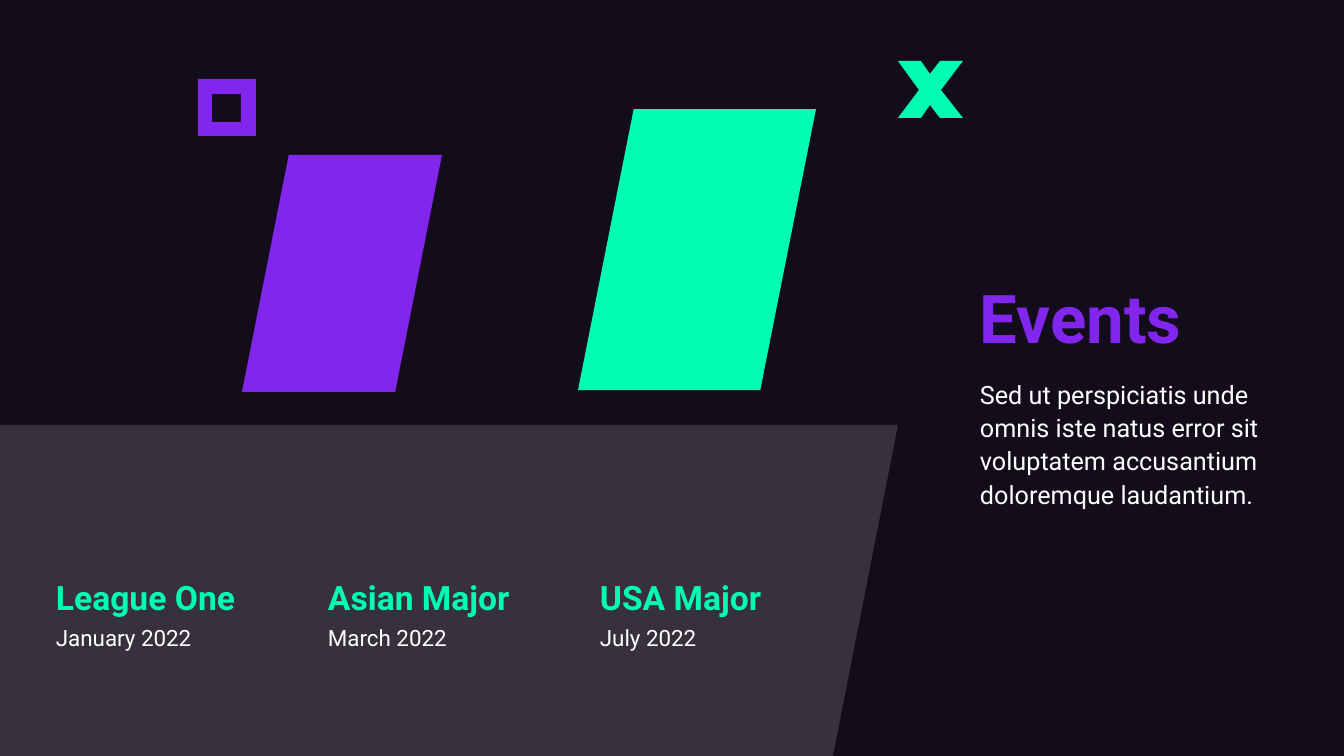
"""Builds the Events slide."""
from lxml import etree
from pptx import Presentation
from pptx import util as u
from pptx.dml.color import RGBColor
from pptx.enum import shapes, text
from pptx.oxml.ns import qn

PX = u.Inches(1) / 100.8
FONT = "Roboto"
HUES = {"night": "130D1B", "mint": "01FDB0", "violet": "8226EE", "white": "FFFFFF"}
EVENTS = [
    ("League One", "January 2022"),
    ("Asian Major", "March 2022"),
    ("USA Major", "July 2022"),
]
PANEL = [(0, 425), (898, 425), (833, 756), (0, 756)]
CROSS = [
    (898, 61), (921, 61), (930, 74), (940, 61), (963, 61), (941, 90),
    (963, 118), (940, 118), (930, 105), (921, 118), (898, 118), (919, 90),
]
OUTER = [(198, 79), (256, 79), (256, 136), (198, 136)]
INNER = [(212, 94), (212, 122), (241, 122), (241, 94)]


def emu(*vals):
    """Turn pixels into EMU."""
    return [u.Emu(round(val * PX)) for val in vals]


def hue(name):
    """Look up a colour."""
    return RGBColor.from_string(HUES[name])


def paint(shape, name):
    """Give a shape a flat fill with no line or shadow."""
    shape.shadow.inherit = False
    shape.fill.solid()
    shape.fill.fore_color.rgb = hue(name)
    shape.line.fill.background()


def slant(slide, box, name):
    """Add a leaning block."""
    shape = slide.shapes.add_shape(shapes.MSO_SHAPE.PARALLELOGRAM, *emu(*box))
    shape.adjustments[0] = 0.234
    paint(shape, name)


def outline(slide, name, *rings, alpha=None):
    """Add a freeform made of closed rings."""
    build = slide.shapes.build_freeform(*rings[0][0], scale=PX)
    build.add_line_segments(rings[0][1:])
    for ring in rings[1:]:
        build.move_to(*ring[0])
        build.add_line_segments(ring[1:])
    shape = build.convert_to_shape()
    paint(shape, name)
    if alpha:
        color = shape.fill._xPr.find(qn("a:solidFill"))[0]
        etree.SubElement(color, qn("a:alpha")).set("val", str(alpha * 1000))


def write(shape, box, words, size, name, bold=False, low=False, gap=1.1):
    """Place a text shape and fill it with one run."""
    shape.left, shape.top, shape.width, shape.height = emu(*box)
    frame = shape.text_frame
    frame.word_wrap = True
    frame.auto_size = text.MSO_AUTO_SIZE.NONE
    frame.margin_left = frame.margin_right = 0
    frame.margin_top = frame.margin_bottom = 0
    frame.vertical_anchor = text.MSO_ANCHOR.BOTTOM if low else text.MSO_ANCHOR.TOP
    para = frame.paragraphs[0]
    para.alignment = text.PP_ALIGN.LEFT
    para.line_spacing = gap
    run = para.add_run()
    run.text = words
    run.font.name = FONT
    run.font.size = u.Pt(size)
    run.font.bold = bold
    run.font.color.rgb = hue(name)


def label(slide, box, *args, **opts):
    """Add a text box."""
    write(slide.shapes.add_textbox(*emu(*box)), box, *args, **opts)


def main():
    """Build and save the slide."""
    deck = Presentation()
    deck.slide_width, deck.slide_height = emu(1344, 756)
    slide = deck.slides.add_slide(deck.slide_layouts[5])
    slide.background.fill.solid()
    slide.background.fill.fore_color.rgb = hue("night")

    slant(slide, (578, 109, 238, 281), "mint")
    outline(slide, "white", PANEL, alpha=15)
    slant(slide, (242, 155, 200, 237), "violet")
    outline(slide, "mint", CROSS)
    outline(slide, "violet", INNER, OUTER)

    write(slide.shapes.title, (980, 70, 308, 288), "Events", 48, "violet",
          bold=True, low=True, gap=0.9)
    label(slide, (980, 376, 308, 301),
          "Sed ut perspiciatis unde omnis iste natus error sit "
          "voluptatem accusantium doloremque laudantium.", 18, "white")
    for col, (event, date) in enumerate(EVENTS):
        left = 56 + 272 * col
        label(slide, (left, 553, 235, 64), event, 24, "mint", bold=True, low=True)
        label(slide, (left, 621, 235, 118), date, 16, "white")
    deck.save("out.pptx")


main()
